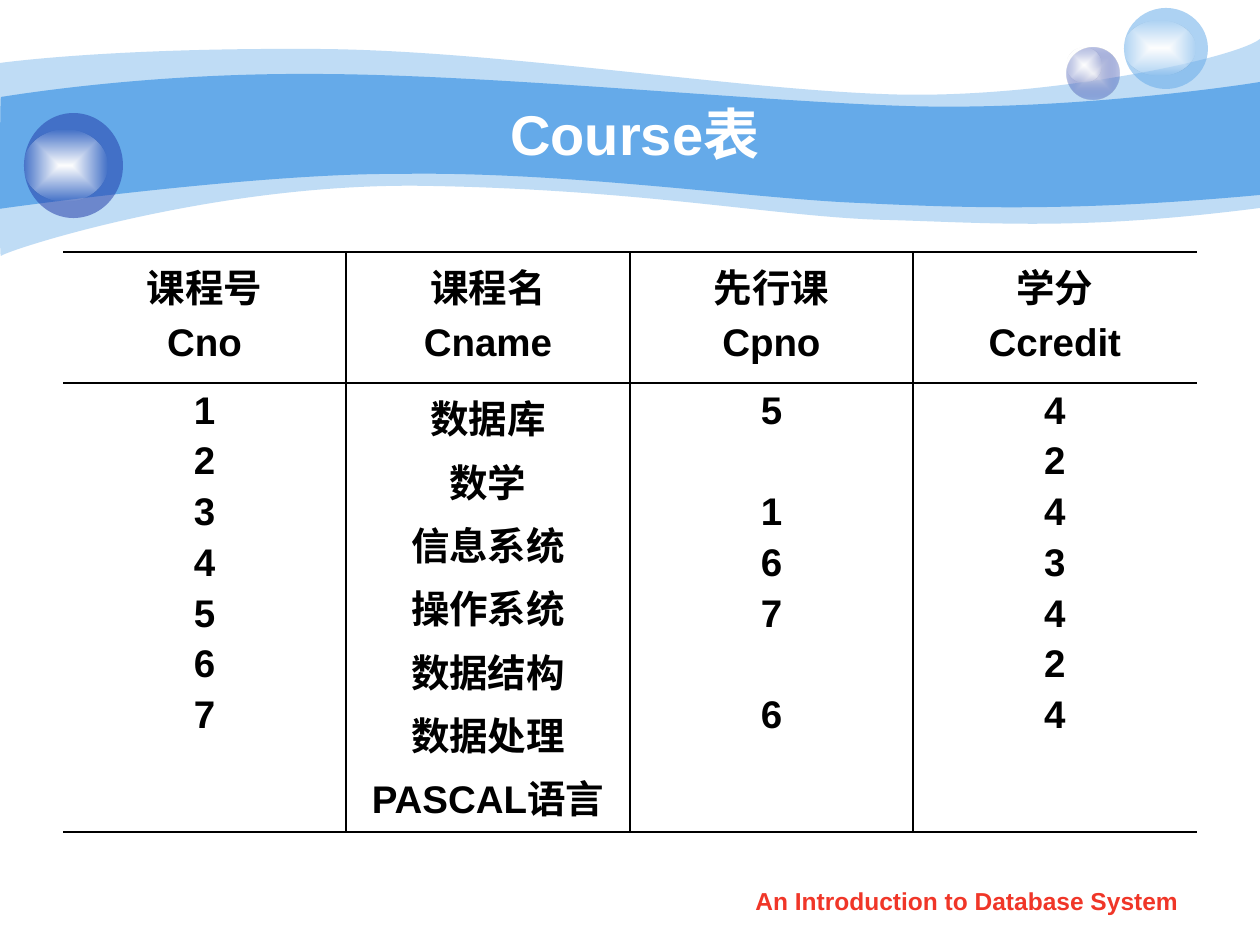
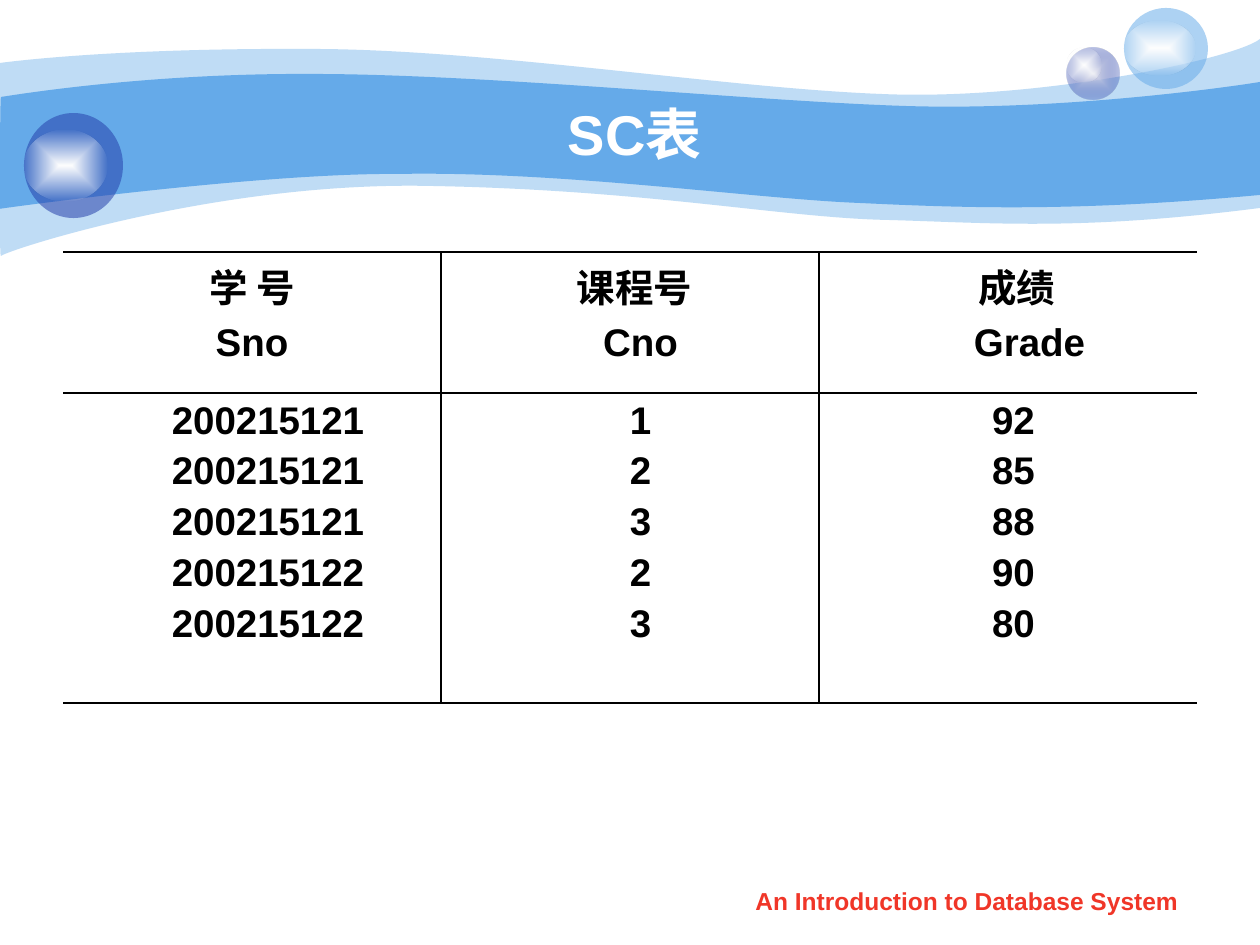
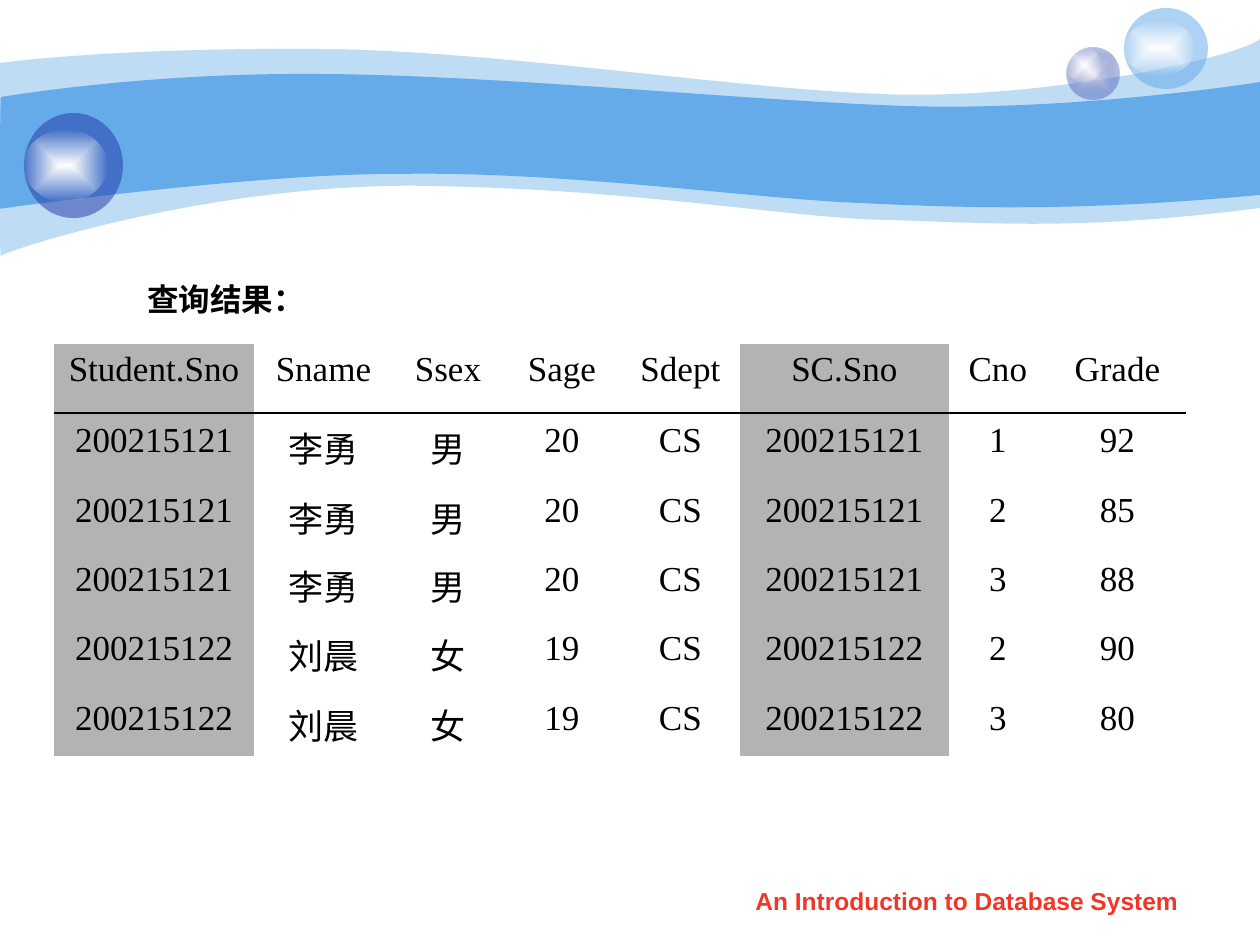
import itertools

import pptx
import pptx.dml.color
import pptx.enum.shapes
import pptx.enum.text
import pptx.oxml
import pptx.oxml.ns
import pptx.util

COURSE = {
    "title": "Course表",
    "rows": (131, 449),
    "columns": [
        ([("课程号", 0), ("Cno", 0)], "1 2 3 4 5 6 7".split(), 0),
        ([("课程名", 0), ("Cname", 0)],
         ["数据库", "数学", "信息系统", "操作系统", "数据结构", "数据处理", "PASCAL语言"], 0),
        ([("先行课", 0), ("Cpno", 0)], ["5", None, "1", "6", "7", None, "6"], 0),
        ([("学分", 0), ("Ccredit", 0)], "4 2 4 3 4 2 4".split(), 0),
    ],
}
SC = {
    "title": "SC表",
    "rows": (141, 310),
    "columns": [
        ([("学 号", 0), ("Sno", 0)],
         ["200215121", "200215121", "200215121", "200215122", "200215122"], 32),
        ([("课程号", 9), ("Cno", 21)], "1 2 3 2 3".split(), 21),
        ([("成绩", 18), ("Grade", 43)], "92 85 88 90 80".split(), 11),
    ],
}
RESULT_LABEL = "查询结果："
RESULT = [
    ("Student.Sno", "Sname", "Ssex", "Sage", "Sdept", "SC.Sno", "Cno", "Grade"),
    ("200215121", "李勇", "男", "20", "CS", "200215121", "1", "92"),
    ("200215121", "李勇", "男", "20", "CS", "200215121", "2", "85"),
    ("200215121", "李勇", "男", "20", "CS", "200215121", "3", "88"),
    ("200215122", "刘晨", "女", "19", "CS", "200215122", "2", "90"),
    ("200215122", "刘晨", "女", "19", "CS", "200215122", "3", "80"),
]
RESULT_WIDTHS = (200, 139, 110, 118, 119, 209, 98, 141)
RESULT_HEIGHTS = (71, 70, 69, 69, 70, 63)
KEY_COLUMNS = (0, 5)
FOOTER = "An Introduction to Database System"

THEME = {
    "sky": "65AAE9", "navy": "233DA9", "mist": "E1E2ED", "white": "FFFFFF",
    "black": "000000", "key": "B3B3B3",
    "title": {"name": "Arial", "size": 32, "bold": True, "color": "FFFFFF"},
    "cell": {"name": "Arial", "size": 22, "bold": True, "color": "000000"},
    "result": {"name": "Times New Roman", "size": 20, "bold": False, "color": "000000"},
    "label": {"name": "Times New Roman", "size": 18, "bold": True, "color": "000000"},
    "footer": {"name": "Arial", "size": 14, "bold": True, "color": "F03628"},
    "space": 4.4, "missing": 29, "rule": 1, "thin": 0.75,
}

GLOW = [(THEME["white"], 100), (THEME["white"], 0)]
WAVES = [
    ([(THEME["sky"], 41)], (0, 63), [
        [(30, 59), (135, 48), (311, 49)],
        [(486, 49), (724, 88), (881, 94)],
        [(1036, 101), (1235, 59), (1260, 39)],
        [(1260, 208)],
        [(1081, 231), (993, 223), (888, 220)],
        [(784, 218), (649, 190), (432, 186)],
        [(217, 181), (5, 251), (1, 256)],
        [(-1, 262), (0, 94), (0, 63)],
    ]),
    ([(THEME["sky"], 100)], (1, 97), [
        [(3, 97), (139, 73), (312, 74)],
        [(486, 74), (750, 101), (905, 106)],
        [(1060, 111), (1230, 87), (1260, 82)],
        [(1260, 195)],
        [(1075, 212), (964, 208), (859, 203)],
        [(755, 199), (563, 171), (399, 174)],
        [(256, 173), (-3, 209), (-1, 209)],
        [(0, 209), (0, 97), (1, 97)],
    ]),
]
BUBBLES = [
    ((1067, 48, 53, 51), [(THEME["mist"], 100), (THEME["navy"], 31)]),
    ((1067, 48, 35, 34), GLOW),
    ((1124, 8, 84, 81), [(THEME["sky"], 53)]),
    ((1124, 21, 71, 54), GLOW),
    ((24, 113, 99, 105), [(THEME["navy"], 53)]),
    ((24, 130, 83, 71), GLOW),
]
PX = 914400 / 126
PLAIN_TABLE = "{2D5ABB26-0587-4C30-8999-92F81FD0307C}"
NS = pptx.oxml.ns.nsdecls("a")


def px(*lengths):
    return [pptx.util.Emu(round(n * PX)) for n in lengths]


def rgb(value):
    return pptx.dml.color.RGBColor.from_string(value)


def color_xml(color, alpha):
    return f'<a:srgbClr val="{color}"><a:alpha val="{alpha * 1000}"/></a:srgbClr>'


def paint(sp, stops):
    if len(stops) == 1:
        xml = f"<a:solidFill {NS}>{color_xml(*stops[0])}</a:solidFill>"
    else:
        marks = "".join(f'<a:gs pos="{i * 100000}">{color_xml(*stop)}</a:gs>'
                        for i, stop in enumerate(stops))
        xml = (f'<a:gradFill {NS} rotWithShape="1"><a:gsLst>{marks}</a:gsLst><a:path path="shape">'
               '<a:fillToRect l="50000" t="50000" r="50000" b="50000"/></a:path></a:gradFill>')
    sp.line.fill.background()
    sp.shadow.inherit = False
    sp._element.spPr.insert(2, pptx.oxml.parse_xml(xml))


def add_wave(s, stops, start, segments):
    builder = s.shapes.build_freeform(*px(*start))
    points = itertools.chain.from_iterable(segments)
    builder.add_line_segments([px(*point) for point in points], close=True)
    sp = builder.convert_to_shape()
    lines = iter(sp._element.spPr.findall(".//" + pptx.oxml.ns.qn("a:lnTo")))
    for segment in segments:
        group = list(itertools.islice(lines, len(segment)))
        if len(group) == 3:
            curve = pptx.oxml.parse_xml(f"<a:cubicBezTo {NS}/>")
            group[0].addprevious(curve)
            for line in group:
                curve.append(line[0])
                line.getparent().remove(line)
    paint(sp, stops)


def add_backdrop(prs, s):
    for wave in WAVES:
        add_wave(s, *wave)
    for box, stops in BUBBLES:
        paint(s.shapes.add_shape(pptx.enum.shapes.MSO_SHAPE.OVAL, *px(*box)), stops)
    for sp in list(s.shapes):
        prs.slide_master.shapes._spTree.append(sp._element)


def write(p, text, style):
    p.alignment = pptx.enum.text.PP_ALIGN.CENTER
    r = p.add_run()
    r.text = text
    values = {"name": style["name"], "size": pptx.util.Pt(style["size"]), "bold": style["bold"]}
    for key, value in values.items():
        setattr(r.font, key, value)
    r.font.color.rgb = rgb(style["color"])


def add_text(s, box, text, style, wrap=True, anchor="TOP"):
    tf = s.shapes.add_textbox(*px(*box)).text_frame
    tf.word_wrap = wrap
    tf.vertical_anchor = getattr(pptx.enum.text.MSO_ANCHOR, anchor)
    write(tf.paragraphs[0], text, style)


def fill_cell(cell, lines):
    tf = cell.text_frame
    used = missing = 0
    for text, indent in lines:
        if text is None:
            missing += 1
            continue
        p = tf.add_paragraph() if used else tf.paragraphs[0]
        p.space_before = pptx.util.Pt(THEME["space"] + missing * THEME["missing"])
        if indent:
            p._p.get_or_add_pPr().set("marL", str(px(indent)[0]))
        write(p, text, THEME["cell"])
        used, missing = used + 1, 0


def add_borders(cell, sides):
    width = pptx.util.Pt(THEME["rule"])
    for i, side in enumerate(sides):
        cell._tc.get_or_add_tcPr().insert(i, pptx.oxml.parse_xml(
            f'<a:ln{side} {NS} w="{width}"><a:solidFill><a:srgbClr val="{THEME["black"]}"/>'
            f'</a:solidFill></a:ln{side}>'))


def add_table(s, left, top, widths, heights):
    box = px(left, top, sum(widths), sum(heights))
    table = s.shapes.add_table(len(heights), len(widths), *box).table
    table.first_row = table.horz_banding = False
    table._tbl.tblPr[0].text = PLAIN_TABLE
    for column, width in zip(table.columns, px(*widths)):
        column.width = width
    for row, height in zip(table.rows, px(*heights)):
        row.height = height
    for cell in table.iter_cells():
        cell.fill.background()
    return table


def add_footer(s):
    add_text(s, (719, 880, 496, 44), FOOTER, THEME["footer"])


def add_relation(s, relation):
    add_text(s, (126, 94, 1018, 78), relation["title"], THEME["title"], anchor="MIDDLE")
    columns = relation["columns"]
    count = len(columns)
    edges = [1134 * c // count for c in range(count + 1)]
    widths = [right - left for left, right in zip(edges, edges[1:])]
    table = add_table(s, 63, 252, widths, relation["rows"])
    for c, (head, values, indent) in enumerate(columns):
        sides = ["L"] * (c > 0) + ["R"] * (c < count - 1) + ["T", "B"]
        for row, lines in enumerate((head, [(v, indent) for v in values])):
            fill_cell(table.cell(row, c), lines)
            add_borders(table.cell(row, c), sides)


def add_result(s):
    table = add_table(s, 54, 344, RESULT_WIDTHS, RESULT_HEIGHTS)
    for row, values in enumerate(RESULT):
        for c, value in enumerate(values):
            cell = table.cell(row, c)
            write(cell.text_frame.paragraphs[0], value, THEME["result"])
            if c in KEY_COLUMNS:
                cell.fill.solid()
                cell.fill.fore_color.rgb = rgb(THEME["key"])
    add_text(s, (134, 274, 184, 50), RESULT_LABEL, THEME["label"], wrap=False)
    rule = s.shapes.add_connector(pptx.enum.shapes.MSO_CONNECTOR.STRAIGHT, *px(54, 413, 1186, 413))
    rule.line.color.rgb = rgb(THEME["black"])
    rule.line.width = pptx.util.Pt(THEME["thin"])
    rule._element.spPr.append(pptx.oxml.parse_xml(f"<a:effectLst {NS}/>"))


def main():
    prs = pptx.Presentation()
    prs.slide_width, prs.slide_height = px(1260, 945)
    course, sc, result = [prs.slides.add_slide(prs.slide_layouts[6]) for _ in range(3)]
    add_backdrop(prs, course)
    add_relation(course, COURSE)
    add_relation(sc, SC)
    add_result(result)
    for s in (course, sc, result):
        add_footer(s)
    prs.save("out.pptx")


if __name__ == "__main__":
    main()
